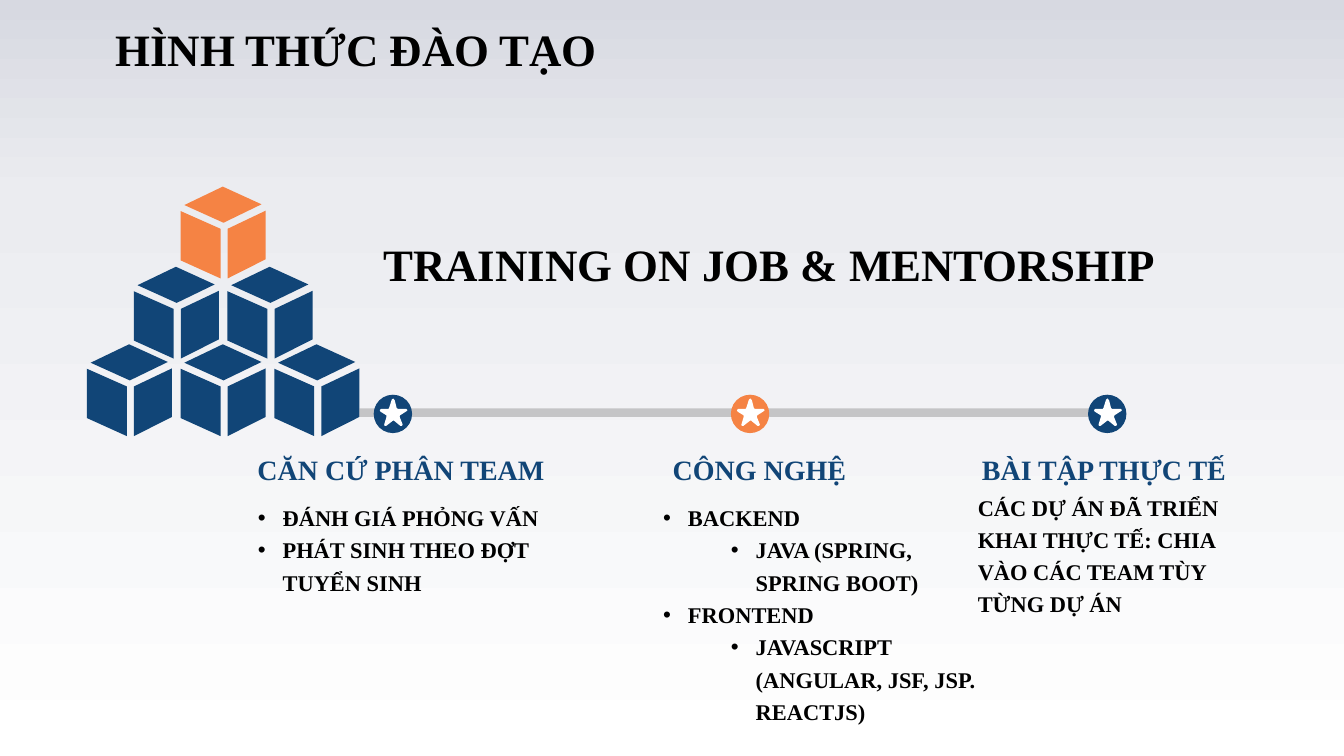
from dataclasses import dataclass

from lxml.etree import SubElement
from pptx import Presentation
from pptx.dml.color import RGBColor
from pptx.enum.shapes import MSO_SHAPE
from pptx.enum.text import MSO_ANCHOR, MSO_AUTO_SIZE, PP_ALIGN
from pptx.oxml.ns import qn
from pptx.shapes.autoshape import Shape
from pptx.slide import Slide
from pptx.util import Cm, Pt

NAVY = RGBColor(0x11, 0x45, 0x77)
ORANGE = RGBColor(0xF5, 0x83, 0x44)
GRAY = RGBColor(0x80, 0x80, 0x80)
WHITE = RGBColor(0xFF, 0xFF, 0xFF)
BLACK = RGBColor(0x00, 0x00, 0x00)
BACKGROUND_STOPS = (
    (0, RGBColor(0xD7, 0xD9, 0xE1)),
    (26, RGBColor(0xEB, 0xEC, 0xF0)),
    (100, WHITE),
)

FONT_NAME = "Times New Roman"
TITLE_SIZE, HEADING_SIZE, BODY_SIZE = 33.8, 21.1, 16.9
BULLET_HANG = 0.66
BULLET_INDENTS = (0.66, 2.46)

Outline = tuple[tuple[float, float], ...]

CUBE_FACES: tuple[Outline, ...] = (
    ((0.1, 0.49), (1.12, 0), (2.15, 0.47), (1.14, 0.96)),
    ((1.06, 1.12), (0, 0.65), (0, 1.96), (1.06, 2.44)),
    ((1.25, 1.12), (1.25, 2.44), (2.26, 1.93), (2.26, 0.64)),
)
STAR: Outline = (
    (0.71, 0.28), (0.48, 0.28), (0.45, 0.25), (0.4, 0.05), (0.36, 0), (0.32, 0.03),
    (0.25, 0.25), (0.23, 0.28), (0.03, 0.28), (0, 0.31), (0.02, 0.35), (0.18, 0.45),
    (0.18, 0.49), (0.12, 0.69), (0.13, 0.73), (0.17, 0.73), (0.35, 0.59), (0.38, 0.59),
    (0.55, 0.73), (0.59, 0.73), (0.61, 0.69), (0.53, 0.49), (0.54, 0.45), (0.71, 0.34),
    (0.74, 0.31),
)

CUBE_ROW_TOPS = (4.96, 7.09, 9.15)
CUBE_APEX_LEFT = 4.8
CUBE_STEP = 2.49
MARKER_LEFT, MARKER_TOP, MARKER_SIZE, MARKER_STEP = 9.93, 10.49, 1.02, 9.49
STAR_INSET = (0.16, 0.1)


@dataclass(frozen=True)
class Box:
    left: float
    top: float
    width: float
    height: float


@dataclass(frozen=True)
class Line:
    text: str
    level: int = 0
    bulleted: bool = False


@dataclass(frozen=True)
class TextBlock:
    box: Box
    lines: tuple[Line, ...]
    size: float
    color: RGBColor = BLACK
    spacing: float | None = None
    alignment: PP_ALIGN = PP_ALIGN.LEFT
    anchor: MSO_ANCHOR = MSO_ANCHOR.TOP
    wrap: bool = True
    grow: bool = False


def heading(box: Box, text: str) -> TextBlock:
    return TextBlock(box, (Line(text),), HEADING_SIZE, NAVY,
                     alignment=PP_ALIGN.CENTER, wrap=False)


def body(box: Box, *lines: Line) -> TextBlock:
    return TextBlock(box, lines, BODY_SIZE, spacing=1.2)


TEXT_BLOCKS = (
    TextBlock(Box(2.82, 0.46, 18.97, 1.7), (Line("HÌNH THỨC ĐÀO TẠO"),), TITLE_SIZE, grow=True),
    TextBlock(Box(9.93, 5.61, 23.98, 2.51), (Line("TRAINING ON JOB & MENTORSHIP"),),
              TITLE_SIZE, spacing=1.2, anchor=MSO_ANCHOR.MIDDLE),
    heading(Box(7.32, 11.89, 6.68, 1.22), "CĂN CỨ PHÂN TEAM"),
    heading(Box(16.84, 11.89, 6.68, 1.22), "CÔNG NGHỆ"),
    heading(Box(26.09, 11.91, 6.68, 1.22), "BÀI TẬP THỰC TẾ "),
    body(Box(6.6, 13.13, 8.92, 4.22),
         Line("ĐÁNH GIÁ PHỎNG VẤN", bulleted=True),
         Line("PHÁT SINH THEO ĐỢT TUYỂN SINH", bulleted=True)),
    body(Box(17.37, 13.13, 8.92, 4.22),
         Line("BACKEND", bulleted=True),
         Line("JAVA (SPRING, SPRING BOOT)", 1, True),
         Line("FRONTEND", bulleted=True),
         Line("JAVASCRIPT (ANGULAR, JSF, JSP. REACTJS)", 1, True)),
    body(Box(25.73, 12.85, 8.15, 4.78),
         Line("CÁC DỰ ÁN ĐÃ TRIỂN KHAI THỰC TẾ: CHIA VÀO CÁC TEAM TÙY TỪNG DỰ ÁN")),
)


def paint(shape: Shape, color: RGBColor) -> None:
    shape.shadow.inherit = False
    shape.fill.solid()
    shape.fill.fore_color.rgb = color
    shape.line.fill.background()


def paint_background(slide: Slide) -> None:
    fill = slide.background.fill
    fill.gradient()
    fill.gradient_angle = 270
    stop_list = next(slide.element.iter(qn("a:gsLst")))
    stop_list.clear()
    for percent, color in BACKGROUND_STOPS:
        stop = SubElement(stop_list, qn("a:gs"), pos=str(percent * 1000))
        SubElement(stop, qn("a:srgbClr"), val=str(color))


def add_outlines(slide: Slide, outlines: tuple[Outline, ...], left: float, top: float,
                 color: RGBColor) -> None:
    contours = [[(Cm(left + x), Cm(top + y)) for x, y in outline] for outline in outlines]
    builder = slide.shapes.build_freeform(*contours[0][0])
    for index, points in enumerate(contours):
        if index:
            builder.move_to(*points[0])
        builder.add_line_segments(points[1:], close=True)
    paint(builder.convert_to_shape(), color)


def add_preset(slide: Slide, kind: MSO_SHAPE, box: Box, color: RGBColor) -> Shape:
    shape = slide.shapes.add_shape(kind, Cm(box.left), Cm(box.top), Cm(box.width), Cm(box.height))
    paint(shape, color)
    return shape


def add_pyramid(slide: Slide) -> None:
    for row, top in enumerate(CUBE_ROW_TOPS):
        for column in range(row + 1):
            left = CUBE_APEX_LEFT + (column - row / 2) * CUBE_STEP
            add_outlines(slide, CUBE_FACES, left, top, NAVY if row else ORANGE)


def add_timeline(slide: Slide) -> None:
    rail = add_preset(slide, MSO_SHAPE.RECTANGLE, Box(9.55, 10.85, 20.24, 0.23), GRAY)
    rail_color = next(rail.element.iter(qn("a:srgbClr")))
    SubElement(rail_color, qn("a:alpha"), val="40000")
    for index, color in enumerate((NAVY, ORANGE, NAVY)):
        left = MARKER_LEFT + index * MARKER_STEP
        add_preset(slide, MSO_SHAPE.OVAL, Box(left, MARKER_TOP, MARKER_SIZE, MARKER_SIZE), color)
        add_outlines(slide, (STAR,), left + STAR_INSET[0], MARKER_TOP + STAR_INSET[1], WHITE)


def add_text(slide: Slide, block: TextBlock) -> None:
    box = block.box
    shape = slide.shapes.add_textbox(Cm(box.left), Cm(box.top), Cm(box.width), Cm(box.height))
    frame = shape.text_frame
    frame.word_wrap = block.wrap
    frame.vertical_anchor = block.anchor
    frame.auto_size = MSO_AUTO_SIZE.SHAPE_TO_FIT_TEXT if block.grow else MSO_AUTO_SIZE.NONE
    for index, line in enumerate(block.lines):
        paragraph = frame.add_paragraph() if index else frame.paragraphs[0]
        paragraph.alignment = block.alignment
        paragraph.level = line.level
        if block.spacing:
            paragraph.line_spacing = block.spacing
        if line.bulleted:
            properties = paragraph._p.get_or_add_pPr()
            properties.set("marL", str(Cm(BULLET_INDENTS[line.level])))
            properties.set("indent", str(-Cm(BULLET_HANG)))
            SubElement(properties, qn("a:buFont"), typeface="Arial")
            SubElement(properties, qn("a:buChar"), char="•")
        run = paragraph.add_run()
        run.text = line.text
        run.font.name = FONT_NAME
        run.font.size = Pt(block.size)
        run.font.bold = True
        run.font.color.rgb = block.color


def main() -> None:
    presentation = Presentation()
    presentation.slide_width = Cm(35.71)
    presentation.slide_height = Cm(20.09)
    slide = presentation.slides.add_slide(presentation.slide_layouts[6])
    paint_background(slide)
    add_pyramid(slide)
    add_timeline(slide)
    for block in TEXT_BLOCKS:
        add_text(slide, block)
    presentation.save("out.pptx")


if __name__ == "__main__":
    main()
